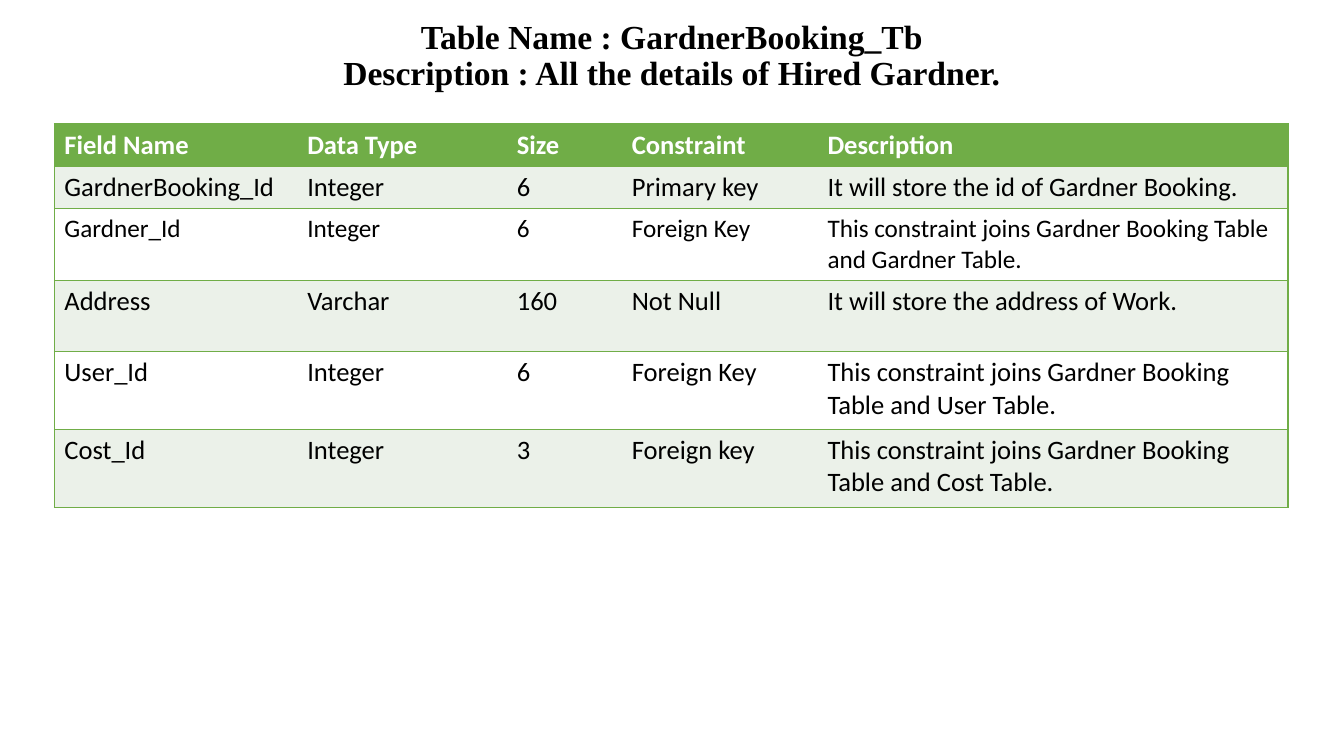
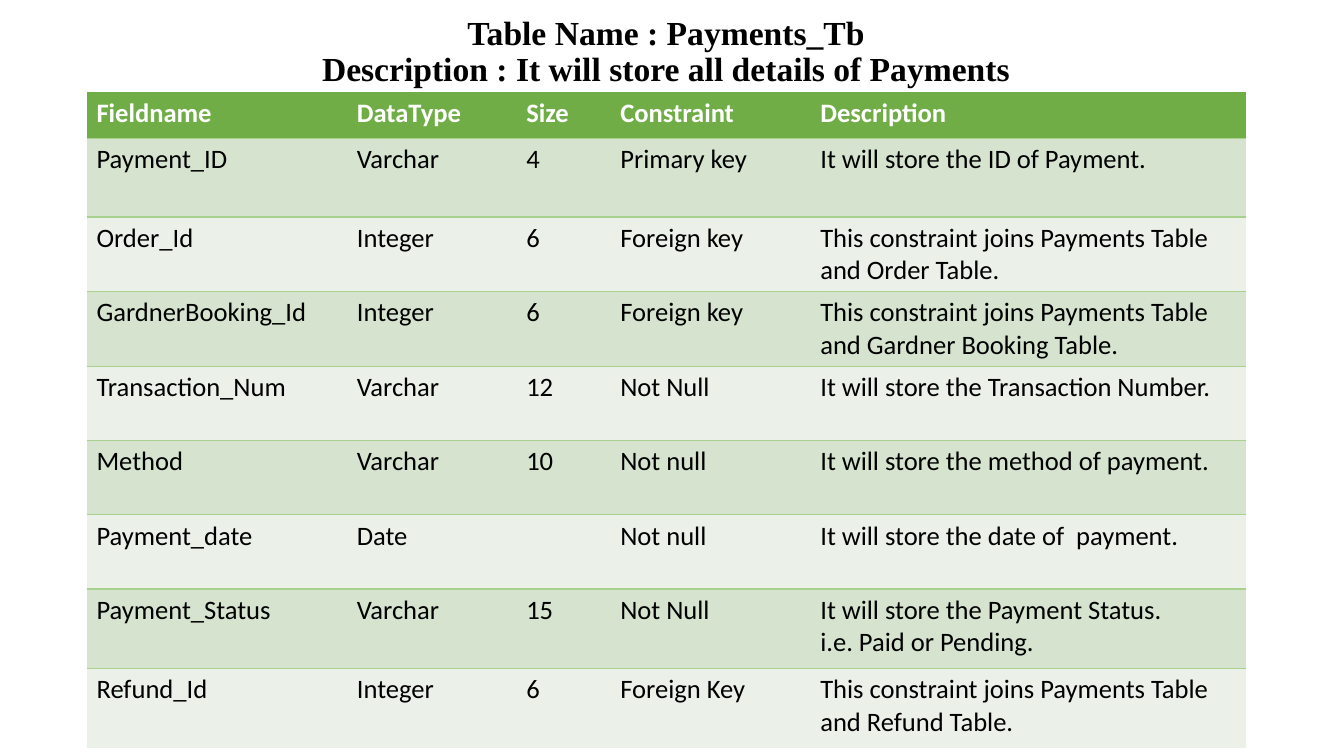
"""Two slides that describe database tables: gardener bookings and payments."""
import pptx
import pptx.dml.color
import pptx.enum.text
import pptx.oxml
import pptx.oxml.ns
import pptx.util

Cm, Pt = pptx.util.Cm, pptx.util.Pt
Anchor = pptx.enum.text.MSO_ANCHOR

COLORS = {
    "header": "70AD47",
    "rule": "A9D18E",
    "band": "D5E3CF",
    "pale": "EBF1E9",
    "white": "FFFFFF",
    "black": "000000",
}
PLAIN_TABLE_STYLE = "{2D5ABB26-0587-4C30-8999-92F81FD0307C}"
TITLE_FONT = {"name": "Times New Roman", "size": Pt(24), "bold": True}
HEADER_FONT = {"name": "Calibri", "size": Pt(19), "bold": True}
BODY_FONT = {"name": "Calibri", "size": Pt(19), "bold": False}
SMALL_FONT = {**BODY_FONT, "size": Pt(18)}

PAGES = [
    {
        "title": [
            "Table Name : GardnerBooking_Tb",
            "Description : All the details of Hired Gardner.",
        ],
        "title_box": (3.94, 0.1, 25.98, 2.36),
        "anchor": Anchor.BOTTOM,
        "corner": (1.37, 3.12),
        "columns": [6.12, 5.28, 2.9, 4.93, 11.86],
        "heights": [1.02, 1.02, 1.8, 1.8, 1.96, 1.96],
        "bands": ["pale", "white"],
        "rule": "header",
        "outlined": True,
        "small_rows": [2],
        "rows": [
            ["Field Name", "Data Type", "Size", "Constraint", "Description"],
            ["GardnerBooking_Id", "Integer", "6", "Primary key",
             "It will store the id of Gardner Booking."],
            ["Gardner_Id", "Integer", "6", "Foreign Key",
             "This constraint joins Gardner Booking Table and Gardner Table."],
            ["Address", "Varchar", "160", "Not Null", "It will store the address of Work."],
            ["User_Id", "Integer", "6", "Foreign Key",
             "This constraint joins Gardner Booking Table and User Table."],
            ["Cost_Id", "Integer", "3", "Foreign key",
             "This constraint joins Gardner Booking Table and Cost Table."],
        ],
    },
    {
        "title": [
            "Table Name : Payments_Tb",
            "Description : It will store all details of Payments",
        ],
        "title_box": (2.18, -0.51, 29.21, 3.68),
        "anchor": Anchor.MIDDLE,
        "corner": (2.18, 2.32),
        "columns": [6.56, 4.27, 2.37, 5.04, 10.97],
        "heights": [1.16, 1.99, 1.87, 1.87, 1.87, 1.87, 1.87, 2.01, 2.01],
        "bands": ["band", "pale"],
        "rule": "rule",
        "outlined": False,
        "small_rows": [],
        "rows": [
            ["Fieldname", "DataType", "Size", "Constraint", "Description"],
            ["Payment_ID", "Varchar", "4", "Primary key", "It will store the ID of Payment."],
            ["Order_Id", "Integer", "6", "Foreign key",
             "This constraint joins Payments Table and Order Table."],
            ["GardnerBooking_Id", "Integer", "6", "Foreign key",
             "This constraint joins Payments Table and Gardner Booking Table."],
            ["Transaction_Num", "Varchar", "12", "Not Null",
             "It will store the Transaction Number."],
            ["Method", "Varchar", "10", "Not null", "It will store the method of payment."],
            ["Payment_date", "Date", "", "Not null", "It will store the date of  payment."],
            ["Payment_Status", "Varchar", "15", "Not Null",
             "It will store the Payment Status.\ni.e. Paid or Pending."],
            ["Refund_Id", "Integer", "6", "Foreign Key",
             "This constraint joins Payments Table and Refund Table."],
        ],
    },
]


def format_text(frame, font, color):
    """Apply the font values and colour to every run of a text frame."""
    for para in frame.paragraphs:
        for span in para.runs:
            for name, value in font.items():
                setattr(span.font, name, value)
            span.font.color.rgb = pptx.dml.color.RGBColor.from_string(COLORS[color])


def add_borders(cell, sides, color):
    """Draw one-point borders on the sides marked true."""
    for side, visible in sides.items():
        if visible:
            cell._tc.get_or_add_tcPr().append(pptx.oxml.parse_xml(
                f'<a:ln{side} {pptx.oxml.ns.nsdecls("a")} w="12700"><a:solidFill>'
                f'<a:srgbClr val="{COLORS[color]}"/></a:solidFill></a:ln{side}>'))


deck = pptx.Presentation()
deck.slide_width, deck.slide_height = Cm(33.87), Cm(19.05)

for content in PAGES:
    page = deck.slides.add_slide(deck.slide_layouts[5])
    title = page.shapes.title
    title.left, title.top, title.width, title.height = map(Cm, content["title_box"])
    frame = title.text_frame
    frame.text = "\n".join(content["title"])
    frame.auto_size = pptx.enum.text.MSO_AUTO_SIZE.NONE
    frame.vertical_anchor = content["anchor"]
    format_text(frame, TITLE_FONT, "black")
    for para in frame.paragraphs:
        para.alignment = pptx.enum.text.PP_ALIGN.CENTER
        para.line_spacing = 0.9
        para.space_before = Pt(0)

    rows, columns, heights = content["rows"], content["columns"], content["heights"]
    left, top = content["corner"]
    table = page.shapes.add_table(
        len(rows), len(columns), Cm(left), Cm(top), Cm(sum(columns)), Cm(sum(heights))).table
    table._tbl.tblPr[0].text = PLAIN_TABLE_STYLE
    table.horz_banding = False
    for column, width in zip(table.columns, columns):
        column.width = Cm(width)

    outlined = content["outlined"]
    last_row, last_column = len(rows) - 1, len(columns) - 1
    for row_index, texts in enumerate(rows):
        table.rows[row_index].height = Cm(heights[row_index])
        if row_index == 0:
            fill, font, text_color = "header", HEADER_FONT, "white"
        else:
            fill, text_color = content["bands"][(row_index - 1) % 2], "black"
            font = SMALL_FONT if row_index in content["small_rows"] else BODY_FONT
        for column_index, text in enumerate(texts):
            cell = table.cell(row_index, column_index)
            cell.text = text
            format_text(cell.text_frame, font, text_color)
            add_borders(cell, {
                "L": outlined and column_index == 0,
                "R": outlined and column_index == last_column,
                "T": outlined or row_index > 0,
                "B": outlined or row_index < last_row,
            }, content["rule"])
            cell.fill.solid()
            cell.fill.fore_color.rgb = pptx.dml.color.RGBColor.from_string(COLORS[fill])

deck.save("out.pptx")
